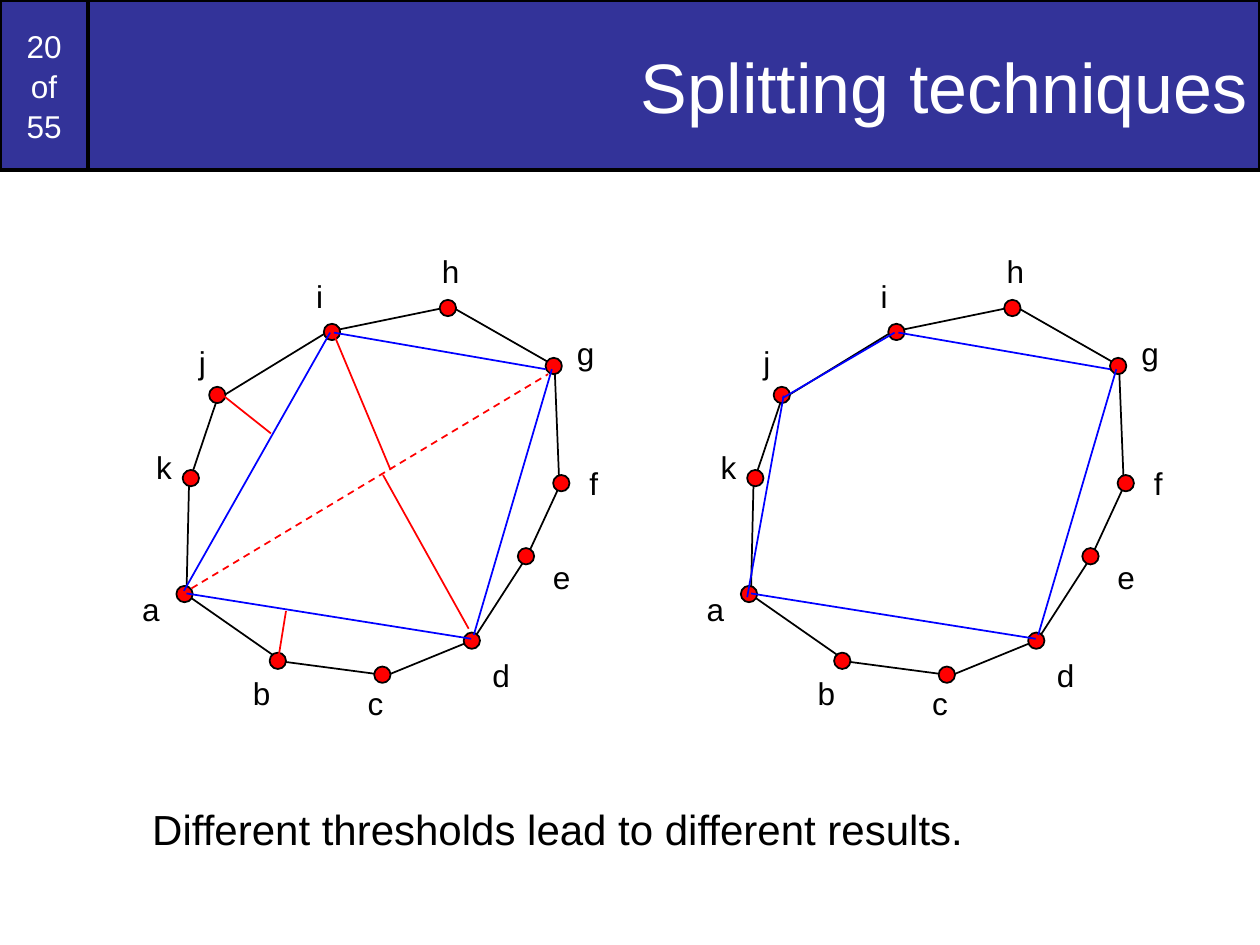
from pptx import Presentation
from pptx.dml.color import RGBColor
from pptx.enum.dml import MSO_LINE
from pptx.enum.shapes import MSO_CONNECTOR, MSO_SHAPE
from pptx.enum.text import MSO_ANCHOR, MSO_AUTO_SIZE, PP_ALIGN
from pptx.oxml.ns import qn
from pptx.util import Pt

STRAIGHT = MSO_CONNECTOR.STRAIGHT
OVAL, RECTANGLE = MSO_SHAPE.OVAL, MSO_SHAPE.RECTANGLE
DASH = MSO_LINE.DASH
MIDDLE = MSO_ANCHOR.MIDDLE
FIT_SHAPE = MSO_AUTO_SIZE.SHAPE_TO_FIT_TEXT
LEFT, CENTER, RIGHT = PP_ALIGN.LEFT, PP_ALIGN.CENTER, PP_ALIGN.RIGHT

EMU_PER_PX = 9144  # 100 px to the inch
BLACK, WHITE, RED, BLUE, NAVY = "000000", "FFFFFF", "FF0000", "0000FF", "333399"
DOT = 13
LABEL_HEIGHT = 40

# name: dot left, dot top, label left, label top, label width
VERTICES = {
    "a": (37, 270, 0, 268, 34),
    "b": (111, 323, 88, 335, 34),
    "c": (194, 334, 179, 343, 32),
    "d": (265, 307, 278, 321, 34),
    "e": (308, 240, 326, 243, 34),
    "f": (336, 182, 355, 168, 27),
    "g": (330, 89, 345, 65, 34),
    "h": (246, 43, 238, 0, 34),
    "i": (154, 62, 138, 20, 25),
    "j": (63, 112, 45, 72, 25),
    "k": (42, 178, 11, 156, 32),
}
OUTLINE = [
    (45, 277, 121, 330), (121, 330, 204, 341), (204, 341, 275, 312),
    (275, 309, 315, 247), (316, 245, 341, 191), (341, 192, 337, 92),
    (335, 94, 258, 50), (256, 48, 154, 69), (156, 69, 71, 121),
    (71, 117, 47, 188), (47, 190, 45, 277),
]
SHARED_CHORDS = [(273, 309, 335, 98), (330, 98, 162, 69), (45, 276, 271, 312)]
COARSE_CHORDS = SHARED_CHORDS + [(159, 69, 43, 274)]
FINE_CHORDS = SHARED_CHORDS + [(159, 69, 70, 121), (71, 119, 42, 279)]
DISTANCES = [(118, 327, 124, 290), (269, 304, 201, 182),
             (207, 178, 161, 68), (112, 149, 73, 118)]
FIRST_SPLIT = (49, 272, 332, 102)


def px(length):
    return length * EMU_PER_PX


def color(hex_value):
    return RGBColor.from_string(hex_value)


def write_text(shape, text, size=18, font_color=BLACK, align=LEFT, spacing=None):
    """Set the text of a shape; a vertical tab in it is a line break."""
    paragraph = shape.text_frame.paragraphs[0]
    paragraph.text = text
    paragraph.alignment = align
    paragraph.line_spacing = spacing
    paragraph.font.name = "Arial"
    paragraph.font.size = Pt(size)
    paragraph.font.color.rgb = color(font_color)


def paint(shape, fill, line_width):
    shape.fill.solid()
    shape.fill.fore_color.rgb = color(fill)
    shape.line.color.rgb = color(BLACK)
    shape.line.width = Pt(line_width)


def add_label(shapes, text, left, top, width, height, **text_format):
    label = shapes.add_textbox(px(left), px(top), px(width), px(height))
    label.text_frame.word_wrap = False
    label.text_frame.auto_size = FIT_SHAPE
    write_text(label, text, **text_format)


def add_shape(shapes, kind, left, top, width, height, fill, line_width):
    shape = shapes.add_shape(kind, px(left), px(top), px(width), px(height))
    shape.shadow.inherit = False
    paint(shape, fill, line_width)
    return shape


def add_lines(shapes, segments, left, top, line_color, dash=None):
    for x1, y1, x2, y2 in segments:
        line = shapes.add_connector(STRAIGHT, px(left + x1), px(top + y1),
                                    px(left + x2), px(top + y2))
        line.line.color.rgb = color(line_color)
        line.line.width = Pt(1)
        line.line.dash_style = dash
        properties = line._element.spPr
        properties.append(properties.makeelement(qn("a:effectLst"), {}))


def add_polygon(shapes, left, top):
    """Draw the closed outline with its dots and letters."""
    add_lines(shapes, OUTLINE, left, top, BLACK)
    for name, (dot_x, dot_y, label_x, label_y, label_width) in VERTICES.items():
        add_shape(shapes, OVAL, left + dot_x, top + dot_y, DOT, DOT, RED, 1)
        add_label(shapes, name, left + label_x, top + label_y, label_width, LABEL_HEIGHT)


def add_coarse_split(shapes, left, top):
    add_polygon(shapes, left, top)
    add_lines(shapes, DISTANCES, left, top, RED)
    add_lines(shapes, COARSE_CHORDS, left, top, BLUE)
    add_lines(shapes, [FIRST_SPLIT], left, top, RED, dash=DASH)


def add_fine_split(shapes, left, top):
    add_polygon(shapes, left, top)
    add_lines(shapes, FINE_CHORDS, left, top, BLUE)


def add_header(slide, left, top, width, height, number_width):
    """Place the slide counter and the title side by side."""
    counter = add_shape(slide.shapes, RECTANGLE, left, top, number_width, height, NAVY, 2)
    counter.text_frame.vertical_anchor = MIDDLE
    write_text(counter, "20\vof\v55", font_color=WHITE, align=CENTER, spacing=1.05)

    title = slide.shapes.title
    title.left, title.top = px(left + number_width), px(top)
    title.width, title.height = px(width - number_width), px(height)
    paint(title, NAVY, 2)
    title.text_frame.vertical_anchor = MIDDLE
    write_text(title, "Splitting techniques", size=40, font_color=WHITE, align=RIGHT)


def main():
    presentation = Presentation()
    presentation.slide_width, presentation.slide_height = px(1000), px(750)
    slide = presentation.slides.add_slide(presentation.slide_layouts[5])
    add_header(slide, 0, 0, 1000, 135, number_width=70)
    add_coarse_split(slide.shapes, 103, 195)
    add_fine_split(slide.shapes.add_group_shape().shapes, 551, 195)
    add_label(slide.shapes, "Different thresholds lead to different results.",
              111, 633, 665, 50, size=24)
    presentation.save("out.pptx")


if __name__ == "__main__":
    main()
